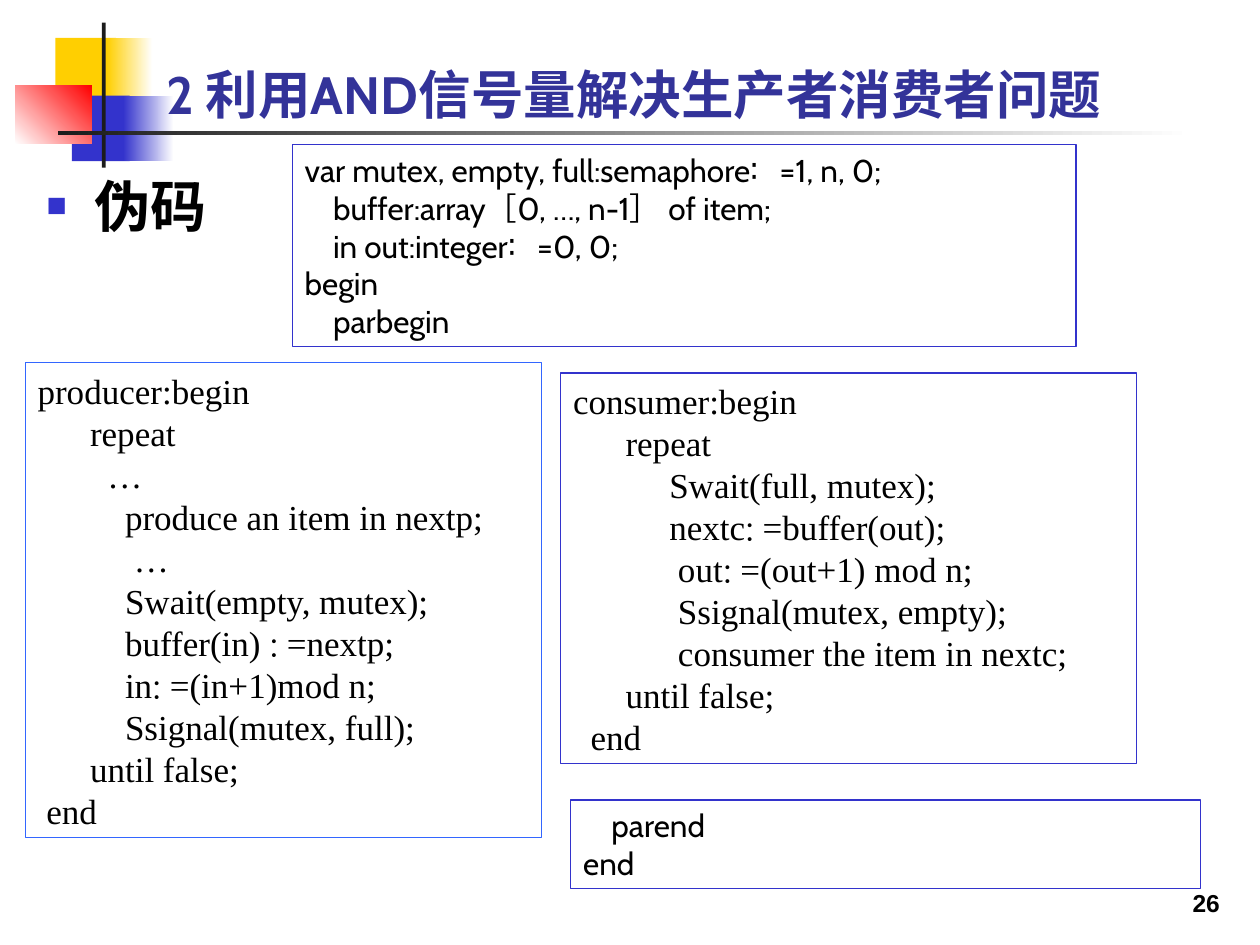
from lxml.etree import SubElement
from pptx import Presentation
from pptx.dml.color import RGBColor
from pptx.enum.shapes import MSO_SHAPE
from pptx.enum.text import MSO_ANCHOR as ANCHOR, MSO_AUTO_SIZE as AUTO, PP_ALIGN as ALIGN
from pptx.oxml.ns import qn
from pptx.util import Inches, Pt

COLORS = {
    "yellow": "FFCF01", "blue": "3333CC", "red": "FF0000", "dark": "1C1C1C",
    "white": "FFFFFF", "title": "333399", "text": "000000", "sky": "3366FF",
}

DECLARATIONS = """var mutex, empty, full:semaphore∶   =1, n, 0;
    buffer:array［0, …, n-1］ of item;
    in out:integer∶   =0, 0;
begin
    parbegin"""

PRODUCER = """producer:begin
      repeat
        …
          produce an item in nextp;
           …
          Swait(empty, mutex);
          buffer(in) ∶ =nextp;
          in∶ =(in+1)mod n;
          Ssignal(mutex, full);
      until false;
 end"""

CONSUMER = """consumer:begin
      repeat
           Swait(full, mutex);
           nextc∶ =buffer(out);
            out∶ =(out+1) mod n;
            Ssignal(mutex, empty);
            consumer the item in nextc;
      until false;
  end"""

ENDING = """    parend
end"""


def rgb(name):
    """Return the named colour."""
    return RGBColor.from_string(COLORS[name])


def place(sp, box):
    """Move a shape to a box of left, top, width and height in inches."""
    sp.left, sp.top, sp.width, sp.height = map(Inches, box)


def write(sp, text, size, font="Cabin", color="text", bold=False,
          align=ALIGN.LEFT, anchor=ANCHOR.TOP, auto=AUTO.NONE):
    """Fill a shape with one formatted paragraph for each line of text."""
    tf = sp.text_frame
    tf.word_wrap, tf.auto_size, tf.vertical_anchor = True, auto, anchor
    for i, line in enumerate(text.split("\n")):
        p = tf.add_paragraph() if i else tf.paragraphs[0]
        p.alignment, p.space_before = align, Pt(0)
        r = p.add_run()
        r.text = line
        r.font.size, r.font.name, r.font.bold = Pt(size), font, bold
        r.font.color.rgb = rgb(color)
    return tf


def add_rect(slide, box):
    """Add a rectangle with no shadow, fill or line."""
    sp = slide.shapes.add_shape(MSO_SHAPE.RECTANGLE, *map(Inches, box))
    sp.shadow.inherit = False
    sp.fill.background()
    sp.line.fill.background()
    return sp


def add_block(slide, box, start, end=None, angle=0):
    """Add a rectangle in one colour or fading between two."""
    fill = add_rect(slide, box).fill
    if end is None:
        fill.solid()
        fill.fore_color.rgb = rgb(start)
        return
    fill.gradient()
    fill.gradient_angle = angle
    for stop, name, position in zip(fill.gradient_stops, (start, end), (0, 1)):
        stop.color.rgb = rgb(name)
        stop.position = position


def add_ornament(slide, x, y):
    """Draw the coloured squares and the crossing bars."""
    for dx, dy, w, h, *colors in (
        (0.32, 0.12, 0.48, 0.52, "yellow"),
        (0.73, 0.12, 0.36, 0.52, "yellow", "white"),
        (0.45, 0.58, 0.46, 0.52, "blue"),
        (0.86, 0.58, 0.4, 0.52, "blue", "white"),
        (0, 0.5, 0.61, 0.46, "white", "red", 45),
        (0.69, 0, 0.03, 1.15, "dark"),
        (0.34, 0.86, 9, 0.03, "dark", "white"),
    ):
        add_block(slide, (x + dx, y + dy, w, h), *colors)


def add_title(slide, box, text):
    """Place the title in front of the ornament."""
    sp = slide.shapes.title
    slide.shapes._spTree.append(sp._element)
    place(sp, box)
    write(sp, text, 30, color="title", bold=True, anchor=ANCHOR.BOTTOM)


def add_list(slide, box, text):
    """Place the body with square bullets."""
    sp = slide.placeholders[1]
    slide.shapes._spTree.append(sp._element)
    place(sp, box)
    for p in write(sp, text, 32, bold=True).paragraphs:
        pPr = p._p.get_or_add_pPr()
        pPr.set("marL", str(Inches(0.38)))
        pPr.set("indent", str(Inches(-0.38)))
        SubElement(SubElement(pPr, qn("a:buClr")), qn("a:srgbClr")).set("val", COLORS["blue"])
        SubElement(pPr, qn("a:buSzPct")).set("val", "60000")
        SubElement(pPr, qn("a:buFont")).set("typeface", "Arial")
        SubElement(pPr, qn("a:buChar")).set("char", "■")


def add_code(slide, box, text, size=18, font="Cabin", line="blue"):
    """Add an outlined box of pseudocode."""
    sp = add_rect(slide, box)
    sp.line.color.rgb = rgb(line)
    sp.line.width = Pt(0.75)
    write(sp, text, size, font=font, auto=AUTO.SHAPE_TO_FIT_TEXT)


def add_page_number(slide, box, text):
    """Add the page number at the lower right."""
    sp = slide.shapes.add_textbox(*map(Inches, box))
    write(sp, text, 14, font="Arial", bold=True, align=ALIGN.RIGHT, anchor=ANCHOR.BOTTOM)


def main():
    """Build the slide and save it."""
    prs = Presentation()
    prs.slide_width, prs.slide_height = Inches(10), Inches(7.5)
    slide = prs.slides.add_slide(prs.slide_layouts[1])
    add_ornament(slide, 0.12, 0.18)
    add_title(slide, (1.22, 0.28, 8.78, 0.76), "2 利用AND信号量解决生产者消费者问题")
    add_list(slide, (0.27, 1.31, 1.89, 0.87), "伪码")
    serif = {"size": 20, "font": "Times New Roman"}
    add_code(slide, (0.2, 2.88, 4.1, 3.77), PRODUCER, line="sky", **serif)
    add_code(slide, (2.32, 1.15, 6.22, 1.6), DECLARATIONS)
    add_code(slide, (4.45, 2.96, 4.57, 3.1), CONSUMER, **serif)
    add_code(slide, (4.53, 6.35, 5, 0.7), ENDING)
    add_page_number(slide, (7.7, 6.83, 2.08, 0.5), "26")
    prs.save("out.pptx")


if __name__ == "__main__":
    main()
